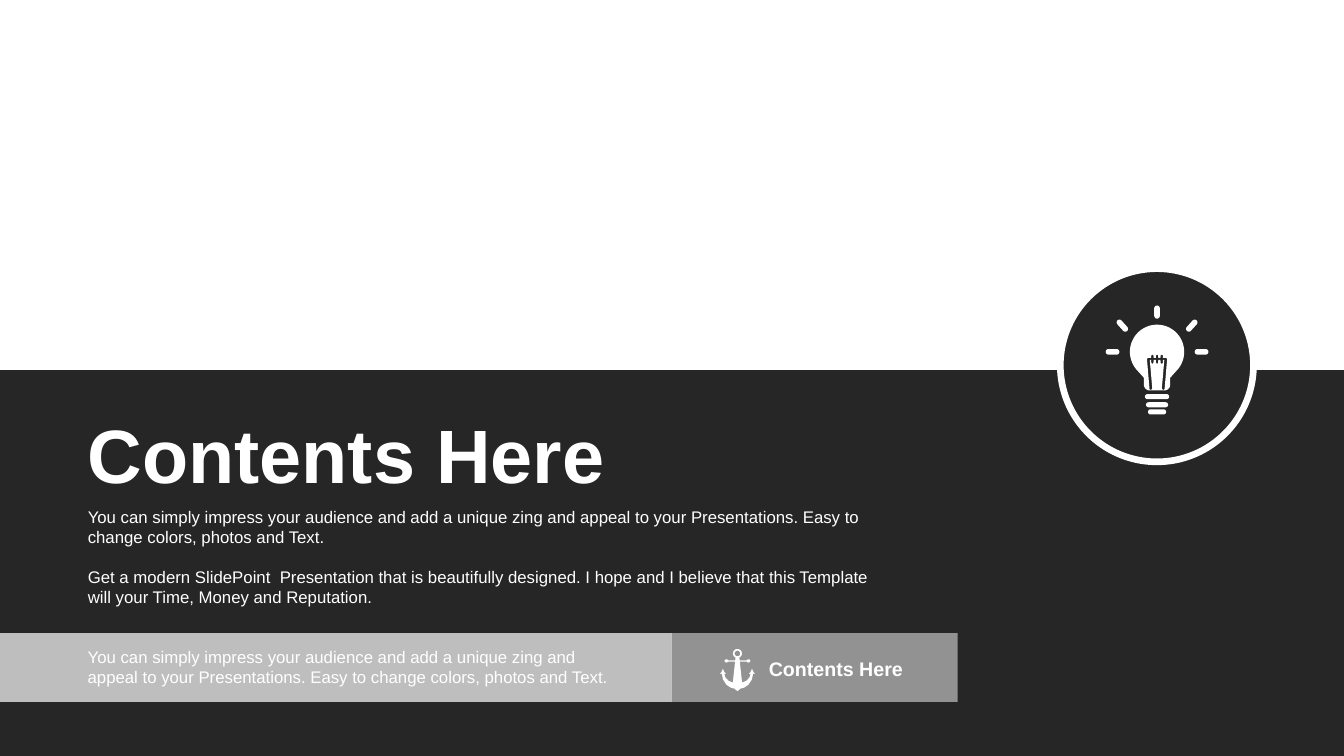
from math import cos, radians, sin

from lxml.etree import SubElement
from pptx import Presentation
from pptx.dml.color import RGBColor
from pptx.enum.shapes import MSO_SHAPE as SHAPE
from pptx.enum.text import MSO_ANCHOR as ANCHOR, MSO_AUTO_SIZE as AUTO_SIZE, PP_ALIGN as ALIGN
from pptx.oxml.ns import qn
from pptx.util import Pt

COLORS = {"dark": "262626", "white": "FFFFFF"}
WIDTH, HEIGHT = 960, 540
BAND_TOP = 264.2
STRIP_TOP, STRIP_HEIGHT, STRIP_SPLIT = 452.3, 49, 480
TEXT_LEFT = 55.5
IMPRESS = ("You can simply impress your audience and add a unique zing and appeal "
           "to your Presentations. Easy to change colors, photos and Text.")
MODERN = ("Get a modern SlidePoint  Presentation that is beautifully designed. "
          "I hope and I believe that this Template will your Time, Money and Reputation.")

FILAMENT_HALF = [
    (0, 2), (0.7, 2.4), (0.9, 4.3), (2.4, 4.3), (2.6, 2.4), (3.3, 2), (4.1, 2.4),
    (4.2, 4.3), (6.6, 4.3), (7.2, 5.2), (5.4, 26.6), (4.4, 27.4), (3.4, 26.2),
    (5.2, 5.8), (4.2, 5.8), (4.1, 8), (3.3, 8.6), (2.6, 8), (2.4, 5.8),
    (0.9, 5.8), (0.7, 8), (0, 8.6)]
ANCHOR_HALF = [
    (1.6, 8.5), (6.6, 8.5), (7.2, 7.9), (8.3, 7.7), (9.4, 8.9), (8.3, 10.1),
    (7.2, 9.9), (6.6, 9.4), (1.7, 9.4), (3.3, 24.4), (6.5, 23), (8.7, 20.6),
    (9.4, 18), (8.2, 18.2), (9.6, 16.5), (10.4, 14.4), (11.2, 16.5), (12.5, 18.2),
    (11.2, 18), (10.3, 22.2), (7.8, 26), (4.8, 28), (1.9, 28.8), (1.1, 29.7), (0, 30.4)]


def rgb(name):
    return RGBColor.from_string(COLORS[name])


def paint(shape, color, opacity=100):
    shape.shadow.inherit = False
    shape.fill.solid()
    shape.fill.fore_color.rgb = rgb(color)
    shape.line.fill.background()
    if opacity < 100:
        tint = shape.fill._xPr.find(qn("a:solidFill"))[0]
        SubElement(tint, qn("a:alpha"), val=str(opacity * 1000))


def add_block(slide, kind, box, color, opacity=100):
    block = slide.shapes.add_shape(kind, *map(Pt, box))
    paint(block, color, opacity)
    return block


def write(holder, box, texts, size, bold=False, leading=None):
    holder.left, holder.top, holder.width, holder.height = map(Pt, box)
    frame = holder.text_frame
    frame.word_wrap = True
    frame.auto_size = AUTO_SIZE.NONE
    frame.vertical_anchor = ANCHOR.TOP
    for index, text in enumerate(texts):
        line = frame.add_paragraph() if index else frame.paragraphs[0]
        line.text = text
        properties = line._p.get_or_add_pPr()
        properties.set("marL", "0")
        properties.set("indent", "0")
        SubElement(properties, qn("a:buNone"))
        line.alignment = ALIGN.LEFT
        line.space_before = Pt(0)
        line.space_after = Pt(14 if index < len(texts) - 1 else 0)
        if leading:
            line.line_spacing = Pt(leading)
        line.font.name = "Arial"
        line.font.size = Pt(size)
        line.font.bold = bold
        line.font.color.rgb = rgb("white")


def add_label(slide, box, text, size, **style):
    write(slide.shapes.add_textbox(*map(Pt, box)), box, [text], size, **style)


def arc(x, y, radius, start, end, steps=24):
    angles = [radians(start + (end - start) * i / steps) for i in range(steps + 1)]
    return [(x + radius * cos(a), y + radius * sin(a)) for a in angles]


def pill(x, y, length, thickness, angle=0):
    turn, radius = radians(angle), thickness / 2
    reach = length / 2 - radius
    dx, dy = reach * cos(turn), reach * sin(turn)
    return (arc(x + dx, y + dy, radius, angle - 90, angle + 90, 8)
            + arc(x - dx, y - dy, radius, angle + 90, angle + 270, 8))


def mirrored(half):
    return half + [(-x, y) for x, y in reversed(half)]


def add_icon(slide, center_x, center_y, outlines):
    placed = [[(Pt(center_x + x), Pt(center_y + y)) for x, y in outline]
              for outline in outlines]
    builder = slide.shapes.build_freeform(*placed[0][0], scale=1.0)
    builder.add_line_segments(placed[0][1:], close=True)
    for outline in placed[1:]:
        builder.move_to(*outline[0])
        builder.add_line_segments(outline[1:], close=True)
    paint(builder.convert_to_shape(), "white")


def bulb_outlines():
    glass = mirrored(arc(0, 0, 19.4, -90, 45) + [(9.4, 18.5)]
                     + arc(5.2, 23.4, 4.2, 0, 90, 8))
    rays = [pill(0, -28.4, 9.4, 4, 90)]
    for side in (-1, 1):
        rays.append(pill(side * 31.8, 0, 9.8, 4))
        rays.append(pill(side * 24.8, -18.7, 10.2, 4, side * -48))
    screw = [pill(0, y, length, 3.6) for y, length in ((32, 17.3), (37.8, 15.8), (42.9, 13))]
    return [glass, mirrored(FILAMENT_HALF), *rays, *screw]


def anchor_outlines():
    ring = arc(0, 3.6, 3.2, -90, 65, 16)
    return [mirrored(ring + ANCHOR_HALF), arc(0, 3.6, 2, 0, 360)]


def add_backdrop(slide):
    bands = [((0, BAND_TOP, WIDTH, HEIGHT - BAND_TOP), "dark"),
             ((0, BAND_TOP - 7.2, WIDTH, 7.2), "white")]
    for depth, (box, color) in enumerate(bands):
        band = add_block(slide, SHAPE.RECTANGLE, box, color)
        slide.shapes._spTree.insert(2 + depth, band._element)


def main():
    """Build the contents slide with its bulb badge and caption strip."""
    deck = Presentation()
    deck.slide_width, deck.slide_height = Pt(WIDTH), Pt(HEIGHT)
    slide = deck.slides.add_slide(deck.slide_layouts[1])
    add_backdrop(slide)

    badge = add_block(slide, SHAPE.OVAL, (757.4, 191.9, 138, 138), "dark")
    badge.line.color.rgb = rgb("white")
    badge.line.width = Pt(4.75)

    write(slide.placeholders[1], (TEXT_LEFT, 358.4, 579.6, 80), [IMPRESS, MODERN], 12,
          leading=14.4)
    write(slide.shapes.title, (TEXT_LEFT, 287.4, 468, 72.7), ["Contents Here"], 54, bold=True)

    add_block(slide, SHAPE.RECTANGLE, (STRIP_SPLIT, STRIP_TOP, 204, STRIP_HEIGHT), "white", 50)
    add_block(slide, SHAPE.RECTANGLE, (0, STRIP_TOP, STRIP_SPLIT, STRIP_HEIGHT), "white", 70)
    add_label(slide, (TEXT_LEFT, 458.6, 402.5, 36), IMPRESS, 12, leading=14.4)
    add_label(slide, (542.1, 465.4, 141.8, 24.2), "Contents Here", 14, bold=True)

    add_icon(slide, 826.5, 251.3, bulb_outlines())
    add_icon(slide, 526.8, 463.2, anchor_outlines())
    deck.save("out.pptx")


if __name__ == "__main__":
    main()
